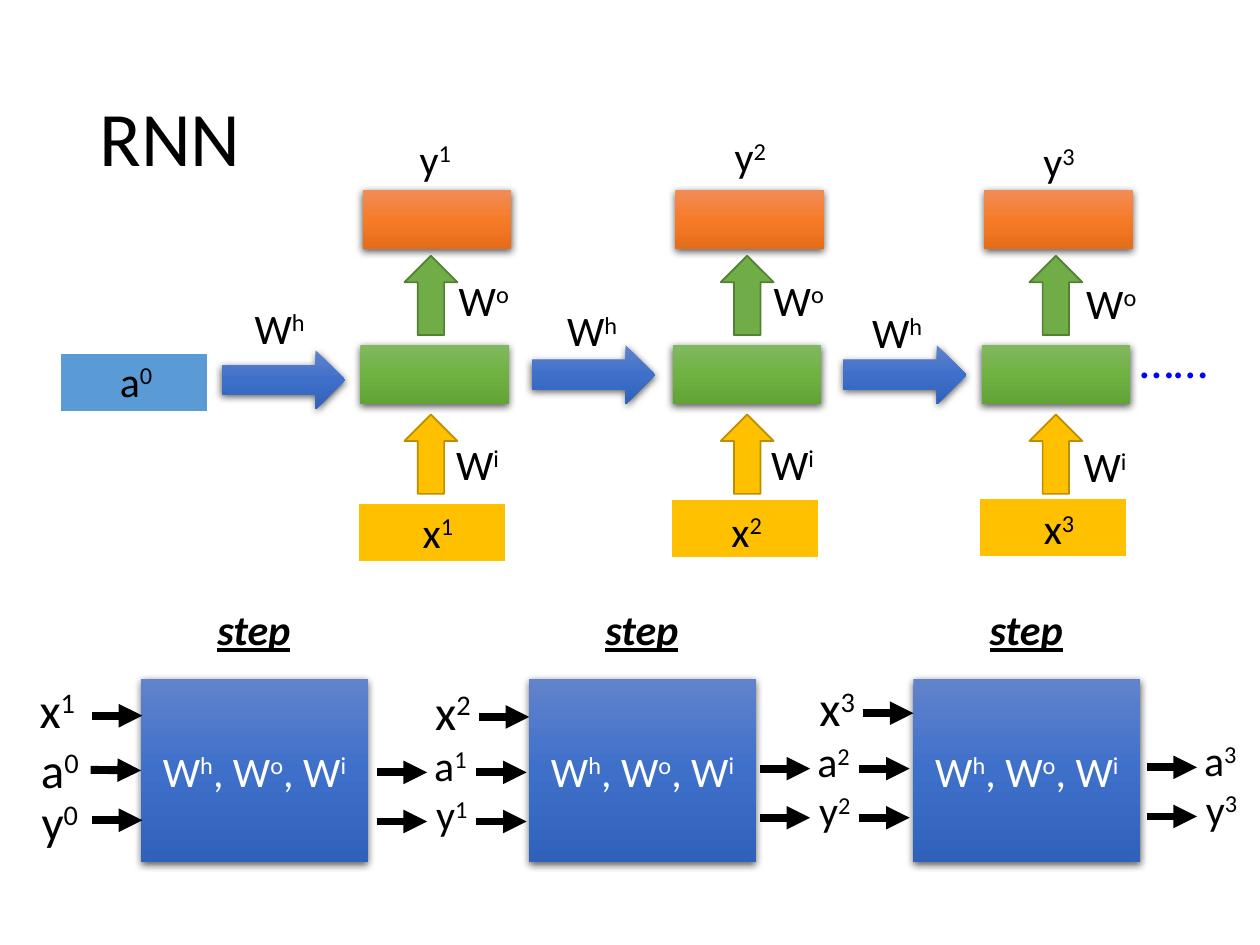
from copy import deepcopy

from pptx import Presentation
from pptx.dml.color import RGBColor
from pptx.enum.shapes import MSO_CONNECTOR as Connector, MSO_SHAPE as Shape
from pptx.enum.text import MSO_ANCHOR as Anchor, MSO_AUTO_SIZE as AutoSize, PP_ALIGN as Align
from pptx.oxml import parse_xml
from pptx.oxml.ns import nsdecls, qn
from pptx.util import Inches, Pt

FONT = "Calibri"
BLACK = RGBColor(0x00, 0x00, 0x00)
WHITE = RGBColor(0xFF, 0xFF, 0xFF)
DOTS_BLUE = RGBColor(0x00, 0x00, 0xFF)
GOLD = RGBColor(0xFF, 0xC0, 0x00)
DARK_GOLD = RGBColor(0xBD, 0x8E, 0x00)
GREEN = RGBColor(0x70, 0xAD, 0x47)
DARK_GREEN = RGBColor(0x53, 0x80, 0x35)
SKY = RGBColor(0x5B, 0x9B, 0xD5)
# Gradients run from top to bottom
GREENS = (RGBColor(0x81, 0xB8, 0x61), RGBColor(0x6F, 0xB2, 0x42), RGBColor(0x62, 0xA3, 0x36))
ORANGES = (RGBColor(0xF1, 0x8C, 0x57), RGBColor(0xF6, 0x7B, 0x28), RGBColor(0xE5, 0x6C, 0x19))
BLUES = (RGBColor(0x61, 0x83, 0xCB), RGBColor(0x3E, 0x70, 0xCA), RGBColor(0x30, 0x62, 0xBB))

CELL = (1.18, 0.47)
UP_ARROW = (0.42, 0.63)
RIGHT_ARROW = (0.98, 0.47)
STEP = (1.8, 1.45)
ARROW_LENGTH = 0.4

SHADOW = (
    f'<a:outerShdw {nsdecls("a")} blurRad="57150" dist="19050" dir="5400000" '
    'algn="ctr" rotWithShape="0"><a:srgbClr val="000000"><a:alpha val="63000"/>'
    '</a:srgbClr></a:outerShdw>'
)


def write(frame, text, size=24, color=BLACK, align=Align.CENTER):
    """Fill a text frame; every second part between bars is superscript."""
    para = frame.paragraphs[0]
    para.alignment = align
    for number, part in enumerate(text.split("|")):
        span = para.add_run()
        span.text = part
        span.font.name, span.font.size = FONT, Pt(size)
        span.font.color.rgb = color
        if number % 2:
            span.font._element.set("baseline", "30000")
    return para


def add_label(page, text, left, top, width=0.7, size=24, color=BLACK):
    height = 0.5 if size == 24 else 0.57
    box = page.shapes.add_textbox(Inches(left), Inches(top), Inches(width), Inches(height))
    box.text_frame.word_wrap = True
    box.text_frame.auto_size = AutoSize.SHAPE_TO_FIT_TEXT
    return write(box.text_frame, text, size, color)


def add_flat(page, kind, left, top, size, fill, line, line_width):
    shape = page.shapes.add_shape(kind, Inches(left), Inches(top), *map(Inches, size))
    shape.shadow.inherit = False
    shape.fill.solid()
    shape.fill.fore_color.rgb = fill
    shape.line.color.rgb = line
    shape.line.width = Pt(line_width)
    return shape


def add_shaded(page, kind, left, top, size, colors):
    shape = page.shapes.add_shape(kind, Inches(left), Inches(top), *map(Inches, size))
    shape.line.fill.background()
    shape.fill.gradient()
    shape.fill.gradient_angle = 270
    properties = shape._element.spPr
    stops = properties.find(qn("a:gradFill")).find(qn("a:gsLst"))
    stops.append(deepcopy(stops[-1]))
    for stop, color, position in zip(shape.fill.gradient_stops, colors, (0, 0.5, 1)):
        stop.color.rgb = color
        stop.position = position
    shape.shadow.inherit = False
    properties.find(qn("a:effectLst")).append(parse_xml(SHADOW))
    return shape


def add_arrow(page, left, y):
    arrow = page.shapes.add_connector(
        Connector.STRAIGHT, Inches(left), Inches(y), Inches(left + ARROW_LENGTH), Inches(y))
    arrow.line.color.rgb = BLACK
    arrow.line.width = Pt(4.5)
    properties = arrow._element.spPr
    properties.find(qn("a:ln")).append(parse_xml(f'<a:tailEnd {nsdecls("a")} type="triangle"/>'))
    properties.append(parse_xml(f'<a:effectLst {nsdecls("a")}/>'))
    return arrow


def add_title(page):
    box = page.shapes.add_textbox(Inches(0.69), Inches(0.4), Inches(8.62), Inches(1.45))
    box.text_frame.word_wrap = True
    box.text_frame.vertical_anchor = Anchor.MIDDLE
    write(box.text_frame, "RNN", 44, align=Align.LEFT).line_spacing = 0.9


def add_network(page):
    # Start state
    add_flat(page, Shape.RECTANGLE, 0.47, 2.8, CELL, SKY, WHITE, 1.5)
    add_label(page, "a|0", 0.73, 2.77)

    # One column per time: cell left, x top, up arrow left, x label, y label,
    # input weight, hidden weight, hidden arrow
    columns = [
        (2.84, 3.99, 3.21, (2.98, 3.97), (2.96, 1.01), (3.44, 3.43), (1.87, 2.35), (1.76, 2.78)),
        (5.32, 3.96, 5.72, (5.43, 3.96), (5.46, 0.99), (5.94, 3.43), (4.35, 2.37), (4.22, 2.74)),
        (7.77, 3.95, 8.17, (7.91, 3.94), (7.91, 1.03), (8.42, 3.45), (6.77, 2.38), (6.69, 2.74)),
    ]
    for time, column in enumerate(columns, 1):
        left, x_top, up_left, x_at, y_at, weight_at, hidden_at, arrow_at = column
        add_flat(page, Shape.RECTANGLE, left, x_top, CELL, GOLD, WHITE, 1.5)
        add_shaded(page, Shape.RECTANGLE, left + 0.02, 2.74, CELL, GREENS)
        add_shaded(page, Shape.RECTANGLE, left + 0.04, 1.51, CELL, ORANGES)
        add_flat(page, Shape.UP_ARROW, up_left, 3.29, UP_ARROW, GOLD, DARK_GOLD, 1)
        add_flat(page, Shape.UP_ARROW, up_left, 2.03, UP_ARROW, GREEN, DARK_GREEN, 1)
        add_shaded(page, Shape.RIGHT_ARROW, *arrow_at, RIGHT_ARROW, BLUES)
        add_label(page, f"x|{time}", *x_at, 0.99)
        add_label(page, f"y|{time}", *y_at, 0.99)
        add_label(page, "W|i", *weight_at)
        add_label(page, "W|o", weight_at[0] + 0.05, weight_at[1] - 1.3)
        add_label(page, "W|h", *hidden_at)
    add_label(page, "……", 8.83, 2.57, 0.97, 28, DOTS_BLUE)


def add_steps(page):
    # Step left, x label, x arrow, first output arrow
    steps = [
        (1.12, (-0.04, 5.34), (0.73, 5.68), (2.99, 6.13)),
        (4.2, (3.1, 5.36), (3.8, 5.69), (6.03, 6.1)),
        (7.25, (6.15, 5.33), (6.85, 5.66), (9.1, 6.09)),
    ]
    boxes = []
    for time, (left, x_at, x_arrow, (out_left, out_y)) in enumerate(steps, 1):
        box = add_shaded(page, Shape.RECTANGLE, left, 5.39, STEP, BLUES)
        box.text_frame.vertical_anchor = Anchor.MIDDLE
        write(box.text_frame, "W|h|, W|o|, W|i", color=WHITE)
        boxes.append(box)

        heading = add_label(page, "step", left + 0.21, 4.74, 1.37).runs[0].font
        heading.bold = heading.italic = heading.underline = True

        add_label(page, f"x|{time}", *x_at, 0.99, 28)
        add_arrow(page, *x_arrow)

        # Outputs, passed on to the next step
        for row, name in enumerate("ay"):
            shift = 0.39 * row
            add_label(page, f"{name}|{time}", out_left + 0.16 + 0.01 * row,
                      out_y - 0.31 + shift, 0.85)
            add_arrow(page, out_left, out_y + shift)
            if time < len(steps):
                add_arrow(page, out_left + 0.79, out_y + shift)

    # Initial inputs of the first step
    add_label(page, "a|0", 0.05, 5.82, 0.85, 28)
    add_arrow(page, 0.72, 6.11).end_connect(boxes[0], 1)
    add_label(page, "y|0", 0.05, 6.23, 0.85, 28)
    add_arrow(page, 0.73, 6.51)


def main():
    deck = Presentation()
    deck.slide_width, deck.slide_height = Inches(10), Inches(7.5)
    page = deck.slides.add_slide(deck.slide_layouts[6])
    add_title(page)
    add_network(page)
    add_steps(page)
    deck.save("out.pptx")


if __name__ == "__main__":
    main()
